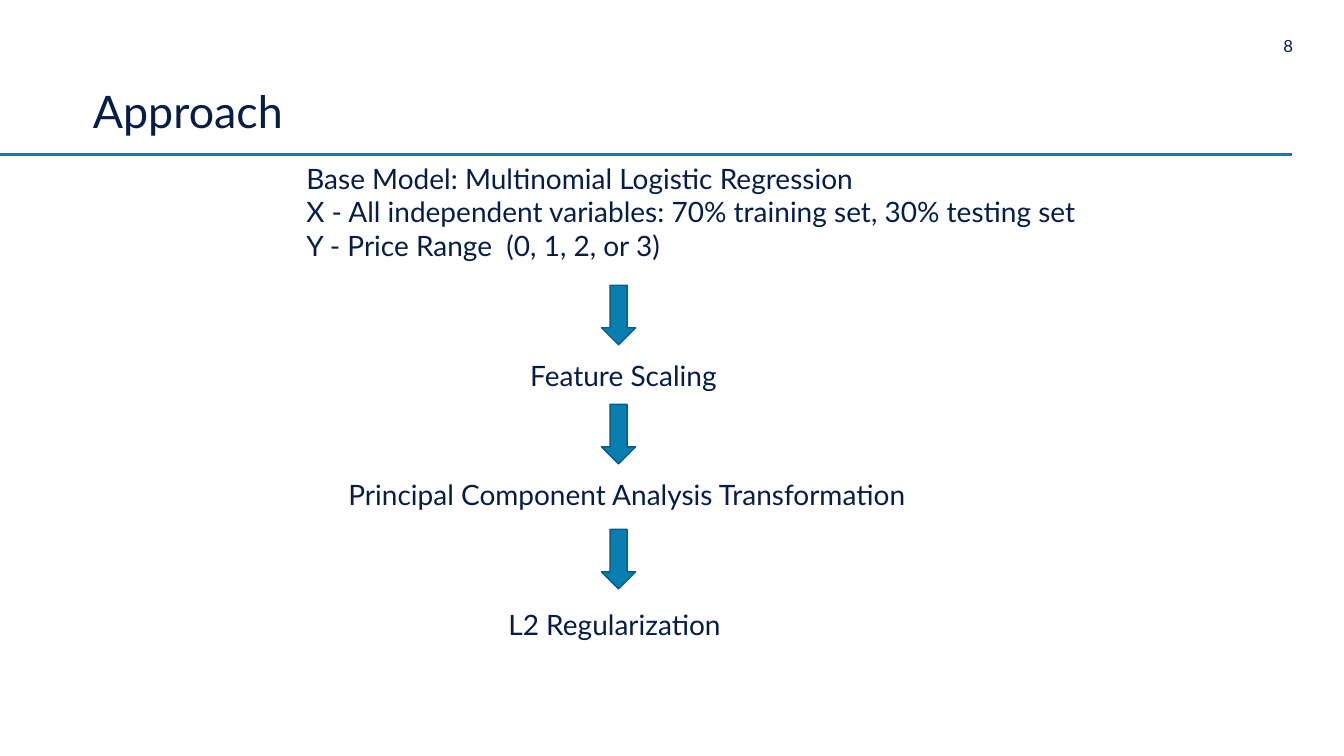
from pptx import Presentation
from pptx.dml.color import RGBColor as Rgb
from pptx.enum.shapes import MSO_CONNECTOR as Link, MSO_SHAPE as Kind
from pptx.enum.text import MSO_ANCHOR as Anchor, MSO_AUTO_SIZE as Fit, PP_ALIGN as Align
from pptx.util import Cm, Pt
from lxml.etree import SubElement

HEAD = "Approach"
PAGE = "8"
BASE = [
    "Base Model: Multinomial Logistic Regression",
    "X - All independent variables: 70% training set, 30% testing set",
    "Y - Price Range  (0, 1, 2, or 3)",
]
STEPS = [
    ("Feature Scaling", (13.11, 8.92, 8.51, 1.12), Align.LEFT),
    ("Principal Component Analysis Transformation", (8.53, 11.91, 14.96, 1.12), Align.LEFT),
    ("L2 Regularization ", (9.09, 15.19, 12.98, 1.12), Align.CENTER),
]
DROPS = [7.19, 10.19, 13.34]
COLORS = {"ink": "061D48", "blue": "097EB1", "edge": "075D83"}
FLAT = {"margin_left": 0, "margin_right": 0, "margin_top": 0, "margin_bottom": 0}


def color(name):
    return Rgb.from_string(COLORS[name])


def apply(item, props):
    for key, value in props.items():
        setattr(item, key, value)


def write(shape, lines, size, look, frame):
    text = shape.text_frame
    text.text = "\n".join(lines)
    apply(text, {"word_wrap": True, "auto_size": Fit.NONE, **frame})
    for para in text.paragraphs:
        apply(para, look)
        apply(para.font, {"name": "Lato", "size": Pt(size)})
        para.font.color.rgb = color("ink")


def label(slide, lines, box, size=20, align=Align.LEFT, frame={}):
    shape = slide.shapes.add_textbox(*map(Cm, box))
    write(shape, lines, size, {"alignment": align}, frame)


def rule(slide):
    line = slide.shapes.add_connector(Link.STRAIGHT, 0, Cm(3.89), Cm(32.56), Cm(3.89))
    line.line.color.rgb = color("blue")
    line.line.width = Pt(2.25)
    props = line._element.spPr
    SubElement(props, "{%s}effectLst" % props.nsmap["a"])


def arrow(slide, top):
    shape = slide.shapes.add_shape(Kind.DOWN_ARROW, Cm(15.16), Cm(top), Cm(0.86), Cm(1.5))
    shape.shadow.inherit = False
    shape.fill.solid()
    shape.fill.fore_color.rgb = color("blue")
    shape.line.color.rgb = color("edge")
    shape.line.width = Pt(1)


def main():
    deck = Presentation()
    apply(deck, {"slide_width": Cm(33.87), "slide_height": Cm(19.05)})
    slide = deck.slides.add_slide(deck.slide_layouts[5])

    rule(slide)
    label(slide, [PAGE], (31.55, 0.91, 1.04, 0.51), 12, Align.RIGHT, FLAT)

    title = slide.shapes.title
    apply(title, {"left": Cm(2.34), "top": Cm(0.86), "width": Cm(26.11), "height": Cm(2.62)})
    look = {"alignment": Align.LEFT, "line_spacing": 0.9}
    write(title, [HEAD], 32, look, {"vertical_anchor": Anchor.BOTTOM, **FLAT})

    label(slide, BASE, (7.47, 3.94, 21.72, 2.82))
    for top, (text, box, align) in zip(DROPS, STEPS):
        arrow(slide, top)
        label(slide, [text], box, align=align)

    deck.save("out.pptx")


if __name__ == "__main__":
    main()
